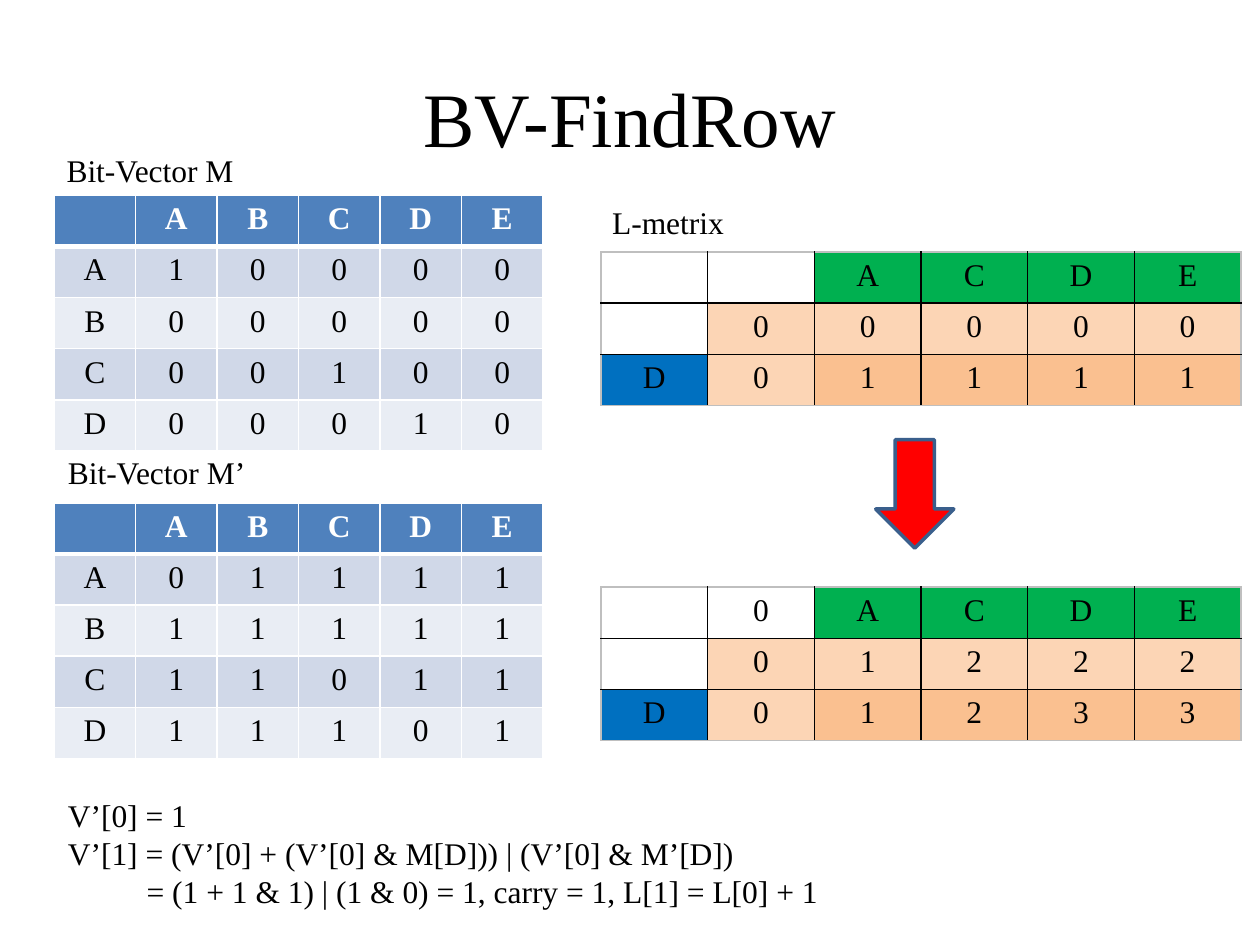
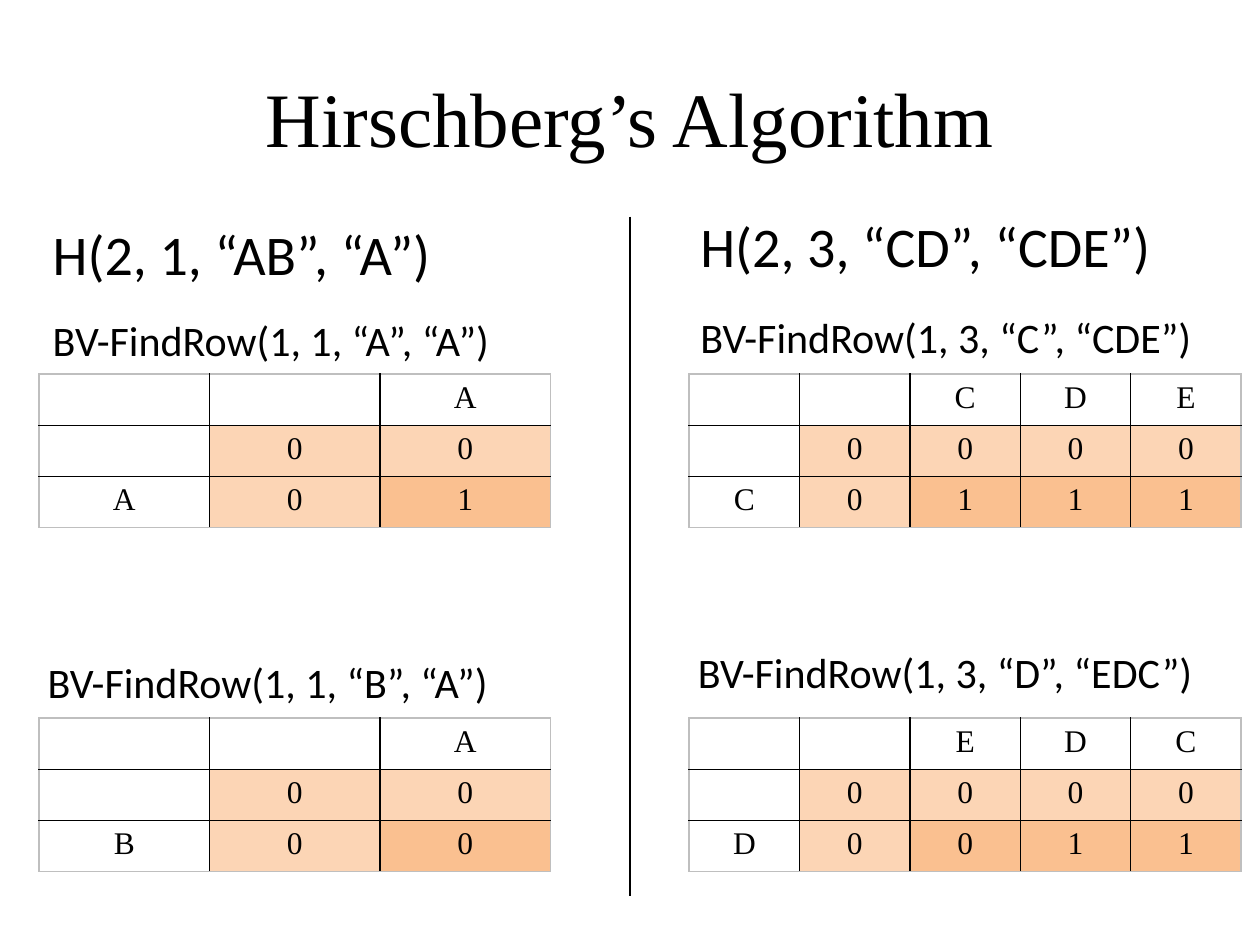
from dataclasses import dataclass
from typing import Callable, Optional

from lxml import etree
from pptx import Presentation
from pptx import util as u
from pptx.dml import color
from pptx.enum import shapes, text
from pptx.oxml import ns

COLUMNS, ROWS = 100, 75
WIDTH, HEIGHT = u.Inches(10), u.Inches(7.5)
TABLE_ROW = 4.06
SERIF, SANS = "Times New Roman", "Calibri"
COLORS = {
    "ink": "000000",
    "white": "FFFFFF",
    "edge": "BFBFBF",
    "header": "4F81BD",
    "band_dark": "D0D8E8",
    "band_light": "E9EDF4",
    "green": "00B050",
    "blue": "0070C0",
    "peach": "FCD5B5",
    "orange": "FAC090",
    "red": "FF0000",
    "outline": "3A5F8C",
}


@dataclass(frozen=True)
class Label:
    lines: tuple[str, ...]
    column: float
    row: float
    width: float
    height: float
    size: int = 18
    font: str = SERIF
    last_indent: float = 0


@dataclass(frozen=True)
class Matrix:
    rows: tuple[str, ...]
    column: float
    row: float
    width: float
    colored_headers: bool = False


@dataclass(frozen=True)
class CellStyle:
    fill: Optional[str]
    borders: dict[str, tuple[str, float]]
    ink: str = "ink"
    bold: bool = False


def across(columns: float) -> int:
    return round(WIDTH * columns / COLUMNS)


def down(rows: float) -> int:
    return round(HEIGHT * rows / ROWS)


def rgb(name: str) -> color.RGBColor:
    return color.RGBColor.from_string(COLORS[name])


def format_font(paragraph, name: str, size: int, ink: str = "ink", bold: bool = False) -> None:
    paragraph.font.name = name
    paragraph.font.size = u.Pt(size)
    paragraph.font.bold = bold
    paragraph.font.color.rgb = rgb(ink)


def add_titled_slide(presentation, title: str):
    slide = presentation.slides.add_slide(presentation.slide_layouts[5])
    placeholder = slide.shapes.title
    placeholder.left, placeholder.top = across(5), down(3)
    placeholder.width, placeholder.height = across(90), down(12.5)
    frame = placeholder.text_frame
    frame.text = title
    frame.vertical_anchor = text.MSO_ANCHOR.MIDDLE
    paragraph = frame.paragraphs[0]
    paragraph.alignment = text.PP_ALIGN.CENTER
    format_font(paragraph, SERIF, 44)
    return slide


def add_label(slide, label: Label) -> None:
    box = slide.shapes.add_textbox(
        across(label.column), down(label.row), across(label.width), down(label.height)
    )
    frame = box.text_frame
    frame.word_wrap = False
    frame.auto_size = text.MSO_AUTO_SIZE.SHAPE_TO_FIT_TEXT
    frame.text = "\n".join(label.lines)
    for paragraph in frame.paragraphs:
        format_font(paragraph, label.font, label.size)
    if label.last_indent:
        properties = frame.paragraphs[-1]._p.get_or_add_pPr()
        properties.set("marL", str(across(label.last_indent)))
        properties.set("indent", "0")


def set_border(cell, side: str, ink: str, points: float) -> None:
    properties = cell._tc.get_or_add_tcPr()
    line = etree.SubElement(properties, ns.qn(f"a:ln{side}"), w=str(u.Pt(points)))
    fill = etree.SubElement(line, ns.qn("a:solidFill"))
    etree.SubElement(fill, ns.qn("a:srgbClr"), val=COLORS[ink])


def bit_vector_style(matrix: Matrix, row: int, column: int) -> CellStyle:
    borders = {side: ("white", 1) for side in "LRTB"}
    if row == 0:
        return CellStyle("header", borders | {"B": ("white", 3)}, "white", True)
    if row == 1:
        borders["T"] = ("white", 3)
    return CellStyle("band_dark" if row % 2 else "band_light", borders)


def score_style(matrix: Matrix, row: int, column: int) -> CellStyle:
    last_row, last_column = len(matrix.rows) - 1, len(matrix.rows[0]) - 1
    outer = {"L": column == 0, "R": column == last_column, "T": row == 0, "B": row == last_row}
    borders = {side: ("edge" if is_outer else "ink", 1) for side, is_outer in outer.items()}
    fill = None
    if row > 0 and column > 0:
        fill = "orange" if row > 1 and column > 1 else "peach"
    elif matrix.colored_headers and column > 1:
        fill = "green"
    elif matrix.colored_headers and row > 1:
        fill = "blue"
    return CellStyle(fill, borders)


def add_matrix(slide, matrix: Matrix, style_of: Callable[[Matrix, int, int], CellStyle]) -> None:
    row_count, column_count = len(matrix.rows), len(matrix.rows[0])
    table = slide.shapes.add_table(
        row_count, column_count, across(matrix.column), down(matrix.row),
        across(matrix.width), down(TABLE_ROW * row_count),
    ).table
    table.first_row = style_of is bit_vector_style
    table.horz_banding = False
    for row, values in enumerate(matrix.rows):
        for column, value in enumerate(values):
            cell = table.cell(row, column)
            style = style_of(matrix, row, column)
            for side, (ink, points) in style.borders.items():
                set_border(cell, side, ink, points)
            if style.fill:
                cell.fill.solid()
                cell.fill.fore_color.rgb = rgb(style.fill)
            else:
                cell.fill.background()
            cell.text = value.strip()
            paragraph = cell.text_frame.paragraphs[0]
            paragraph.alignment = text.PP_ALIGN.CENTER
            format_font(paragraph, SERIF, 18, style.ink, style.bold)


def add_down_arrow(slide) -> None:
    arrow = slide.shapes.add_shape(
        shapes.MSO_SHAPE.DOWN_ARROW, across(69.5), down(34.9), across(6.2), down(8.6)
    )
    arrow.shadow.inherit = False
    arrow.fill.solid()
    arrow.fill.fore_color.rgb = rgb("red")
    arrow.line.color.rgb = rgb("outline")
    arrow.line.width = u.Pt(2)


def add_divider(slide) -> None:
    divider = slide.shapes.add_connector(
        shapes.MSO_CONNECTOR.STRAIGHT, across(50), down(17.2), across(50), down(71.1)
    )
    divider.line.color.rgb = rgb("ink")
    divider.line.width = u.Pt(0.75)
    etree.SubElement(divider._element.spPr, ns.qn("a:effectLst"))


BIT_VECTORS = (
    Matrix((" ABCDE", "A10000", "B00000", "C00100", "D00010"), 4.3, 15.5, 38.8),
    Matrix((" ABCDE", "A01111", "B11111", "C11011", "D11101"), 4.3, 39.9, 38.8),
)
L_MATRICES = (
    Matrix(("  ACDE", " 00000", "D01111"), 47.7, 20, 50.8, True),
    Matrix((" 0ACDE", " 01222", "D01233"), 47.7, 46.6, 50.8, True),
)
FIND_ROW_LABELS = (
    Label(("Bit-Vector M",), 4.3, 11.5, 15.4, 4),
    Label(("Bit-Vector M’",), 4.4, 35.5, 16.3, 4),
    Label(("L-metrix",), 47.6, 15.6, 11, 4),
    Label(
        (
            "V’[0] = 1",
            "V’[1] = (V’[0] + (V’[0] & M[D])) | (V’[0] & M’[D])",
            "= (1 + 1 & 1) | (1 & 0) = 1, carry = 1, L[1] = L[0] + 1",
        ),
        4.4, 62.7, 62.2, 10.1, last_indent=6.25,
    ),
)
HALF_MATRICES = (
    Matrix(("  A", " 00", "A01"), 3.1, 29.7, 40.6),
    Matrix(("  A", " 00", "B00"), 3.1, 57, 40.6),
    Matrix(("  CDE", " 0000", "C0111"), 54.7, 29.7, 43.8),
    Matrix(("  EDC", " 0000", "D0011"), 54.7, 57, 43.8),
)
HALF_LABELS = (
    Label(("H(2, 1, “AB”, “A”)",), 3.2, 16.9, 32.3, 6.4, 32, SANS),
    Label(("H(2, 3, “CD”, “CDE”)",), 54.6, 16.3, 38.1, 6.4, 32, SANS),
    Label(("BV-FindRow(1, 1, “A”, “A”)",), 3.2, 24.5, 37.1, 5, 24, SANS),
    Label(("BV-FindRow(1, 1, “B”, “A”)",), 2.8, 51.6, 37.4, 5, 24, SANS),
    Label(("BV-FindRow(1, 3, “C”, “CDE”)",), 54.6, 24.2, 41.5, 5, 24, SANS),
    Label(("BV-FindRow(1, 3, “D”, “EDC”)",), 54.4, 50.8, 41.7, 5, 24, SANS),
)


def build_find_row(presentation) -> None:
    slide = add_titled_slide(presentation, "BV-FindRow")
    for matrix in L_MATRICES:
        add_matrix(slide, matrix, score_style)
    add_down_arrow(slide)
    for matrix in BIT_VECTORS:
        add_matrix(slide, matrix, bit_vector_style)
    for label in FIND_ROW_LABELS:
        add_label(slide, label)


def build_hirschberg(presentation) -> None:
    slide = add_titled_slide(presentation, "Hirschberg’s Algorithm")
    for matrix in HALF_MATRICES:
        add_matrix(slide, matrix, score_style)
    for label in HALF_LABELS:
        add_label(slide, label)
    add_divider(slide)


def main() -> None:
    presentation = Presentation()
    presentation.slide_width, presentation.slide_height = WIDTH, HEIGHT
    build_find_row(presentation)
    build_hirschberg(presentation)
    presentation.save("out.pptx")


if __name__ == "__main__":
    main()
